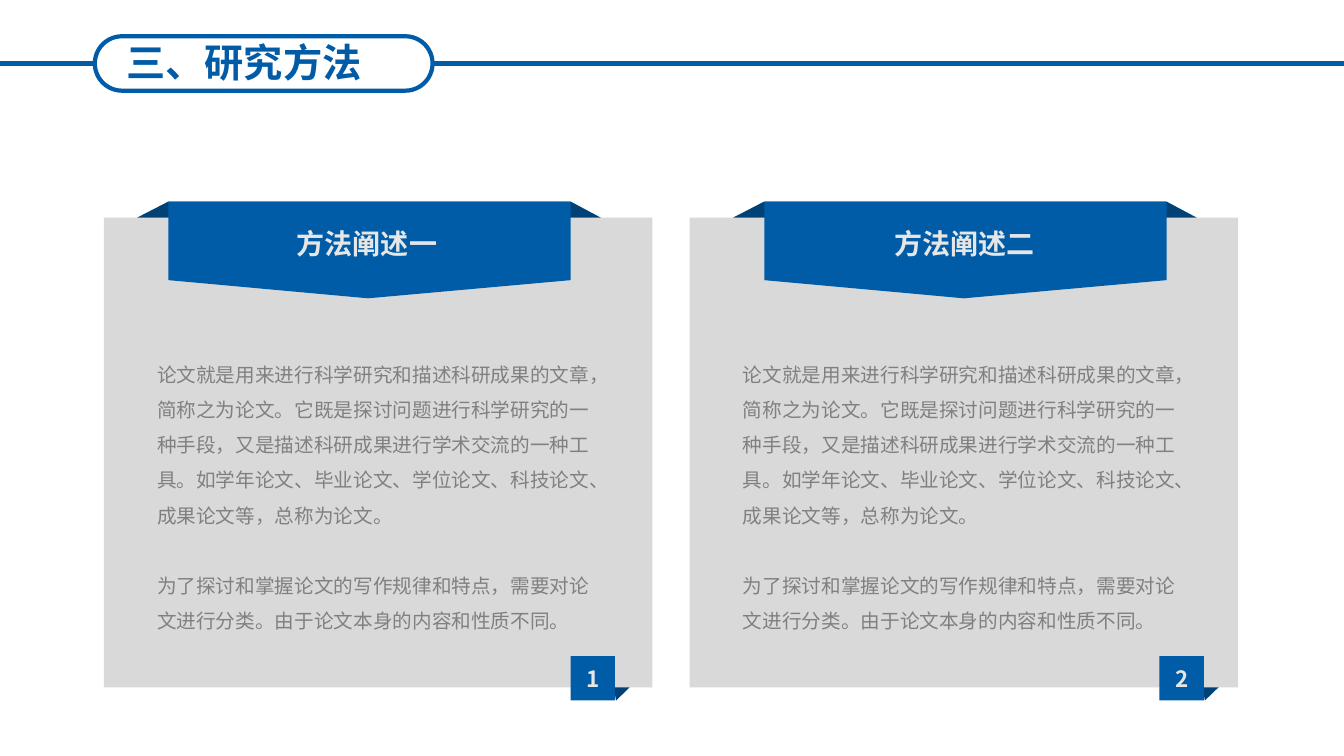
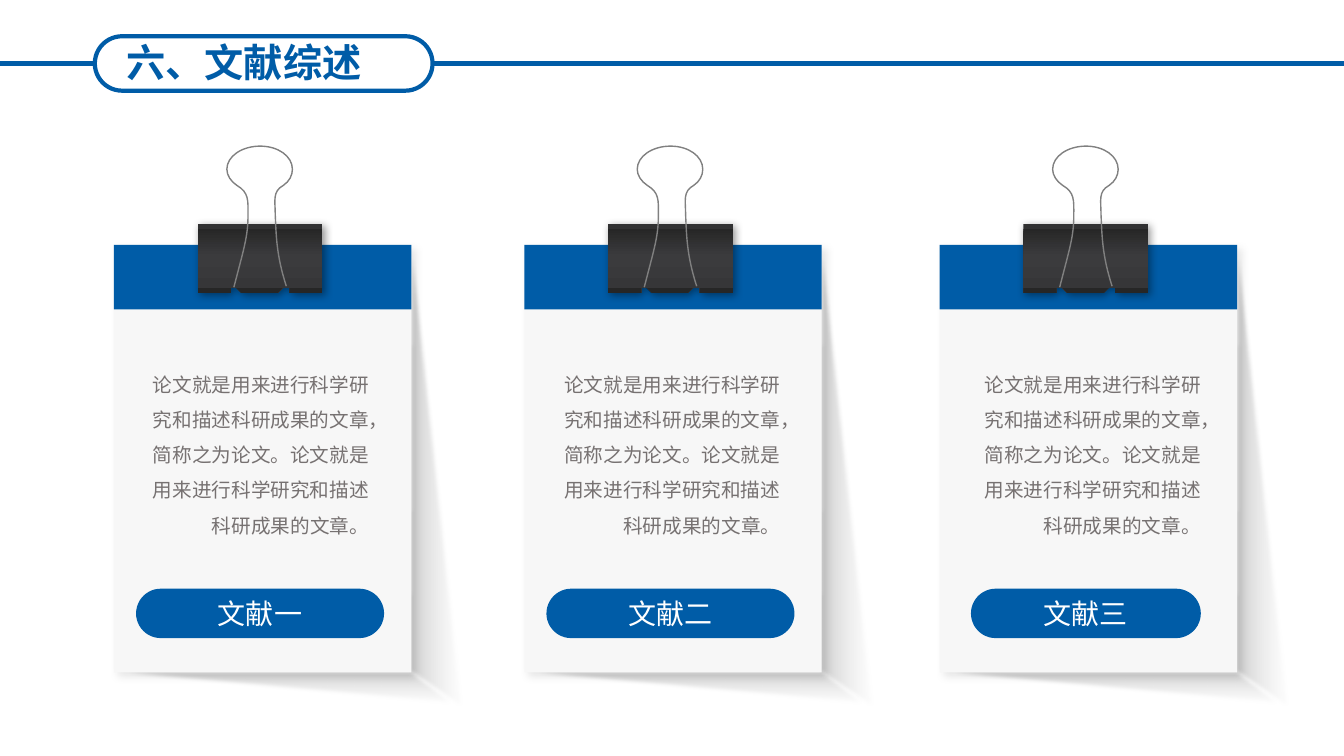
from dataclasses import dataclass

from lxml.etree import SubElement
from pptx import Presentation
from pptx.dml.color import RGBColor
from pptx.enum.shapes import MSO_CONNECTOR, MSO_SHAPE
from pptx.enum.text import MSO_ANCHOR, MSO_AUTO_SIZE, PP_ALIGN
from pptx.oxml import parse_xml
from pptx.oxml.ns import nsdecls, qn
from pptx.shapes.autoshape import Shape
from pptx.slide import Slide
from pptx.text.text import TextFrame
from pptx.util import Inches, Pt

FONT = "Noto Sans CJK SC"
BLUE, NAVY, GREY = "005CA7", "004176", "808080"
PANEL, PAPER, LIGHT, WHITE = "D9D9D9", "F7F7F7", "E7E6E6", "FFFFFF"
BODY_GREY = "767171"
SLIDE_WIDTH, SLIDE_HEIGHT = 13.33, 7.5
BODY_SIZE, BODY_SPACING = 14, 1.5
BLANK_LINE = 25.2

METHOD_TEXT = (
    "论文就是用来进行科学研究和描述科研成果的文章，简称之为论文。"
    "它既是探讨问题进行科学研究的一种手段，又是描述科研成果进行学术交流的一种工具。"
    "如学年论文、毕业论文、学位论文、科技论文、成果论文等，总称为论文。",
    "为了探讨和掌握论文的写作规律和特点，需要对论文进行分类。由于论文本身的内容和性质不同。",
)
REVIEW_TEXT = (
    "论文就是用来进行科学研究和描述科研成果的文章，简称之为论文。"
    "论文就是用来进行科学研究和描述科研成果的文章。",
)

Point = tuple[float, float]
Stop = tuple[int, str, int]  # position %, colour, opacity %

# Outlines are measured from the left edge of the part they belong to.
RIBBON_FOLDS: list[Point] = [(0, 2), (3.99, 2), (4.29, 2.16), (-0.31, 2.16)]
RIBBON: list[Point] = [(0, 2), (3.99, 2), (3.99, 2.78), (1.98, 2.96), (0, 2.78)]
BADGE_FOLD: list[Point] = [(0.76, 6.65), (0.45, 6.95), (0.39, 6.6)]
SIDE_SHADE: list[Point] = [(2.91, 6.68), (3.48, 7.07), (2.93, 1.94)]
BOTTOM_SHADE: list[Point] = [(2.98, 6.64), (3.47, 7.01), (-0.59, 6.64)]
CLIP: list[Point] = [
    (0.83, 2.22), (2.07, 2.22), (2.07, 2.91), (1.74, 2.91), (1.74, 2.85), (1.68, 2.85),
    (1.62, 2.91), (1.27, 2.91), (1.21, 2.85), (1.16, 2.85), (1.16, 2.91), (0.83, 2.91),
]
# The start, then two handles and an end for each curve.
WIRE: list[Point] = [
    (1.19, 2.85),
    (1.29, 2.46), (1.33, 2.35), (1.33, 2.13),
    (1.33, 1.99), (1.34, 1.91), (1.22, 1.84),
    (1.16, 1.8), (1.12, 1.74), (1.12, 1.68),
    (1.12, 1.55), (1.27, 1.45), (1.45, 1.45),
    (1.63, 1.45), (1.77, 1.55), (1.77, 1.68),
    (1.77, 1.74), (1.74, 1.8), (1.68, 1.84),
    (1.57, 1.9), (1.6, 1.99), (1.6, 2.13),
    (1.61, 2.34), (1.61, 2.53), (1.71, 2.84),
]
SHADE_STOPS: list[Stop] = [(0, GREY, 44), (100, "F3F3F3", 12)]
CLIP_STOPS: list[Stop] = [
    (7, "313132", 100), (7, "262626", 100), (46, "3B3B3D", 100),
    (93, "363638", 100), (93, "262626", 100),
]


@dataclass(frozen=True)
class TextStyle:
    size: float
    colour: str
    bold: bool = False
    align: PP_ALIGN = PP_ALIGN.CENTER
    spacing: float = 1.0
    gap: float = 0


@dataclass(frozen=True)
class MethodCard:
    heading: str
    number: str
    left: float
    ribbon_left: float
    heading_left: float
    badge_left: float


@dataclass(frozen=True)
class ReviewCard:
    label: str
    left: float
    label_left: float
    label_width: float
    body_left: float


TITLE_STYLE = TextStyle(28, BLUE, bold=True)
HEADING_STYLE = TextStyle(20, LIGHT, bold=True)
NUMBER_STYLE = TextStyle(16, LIGHT, bold=True)
LABEL_STYLE = TextStyle(20, WHITE)
METHOD_STYLE = TextStyle(BODY_SIZE, GREY, False, PP_ALIGN.LEFT, BODY_SPACING, BLANK_LINE)
REVIEW_STYLE = TextStyle(BODY_SIZE, BODY_GREY, False, PP_ALIGN.RIGHT, BODY_SPACING)

METHOD_CARDS = [
    MethodCard("方法阐述一", "1", 1.03, 1.67, 2.29, 5.66),
    MethodCard("方法阐述二", "2", 6.84, 7.58, 8.22, 11.5),
]
REVIEW_CARDS = [
    ReviewCard("文献一", 1.13, 1.35, 2.46, 1.4),
    ReviewCard("文献二", 5.2, 5.42, 2.46, 5.48),
    ReviewCard("文献三", 9.32, 9.63, 2.28, 9.65),
]


def rgb(value: str) -> RGBColor:
    return RGBColor.from_string(value)


def write(frame: TextFrame, texts: tuple[str, ...], style: TextStyle,
          anchor: MSO_ANCHOR = MSO_ANCHOR.MIDDLE) -> None:
    frame.word_wrap = True
    frame.auto_size = MSO_AUTO_SIZE.NONE
    frame.vertical_anchor = anchor
    for index, text in enumerate(texts):
        para = frame.add_paragraph() if index else frame.paragraphs[0]
        para.alignment = style.align
        para.line_spacing = style.spacing
        para.space_before = Pt(style.gap if index else 0)
        span = para.add_run()
        span.text = text
        span.font.size = Pt(style.size)
        span.font.bold = style.bold
        span.font.color.rgb = rgb(style.colour)
        span.font.name = FONT
        SubElement(span._r.get_or_add_rPr(), qn("a:ea")).set("typeface", FONT)


def add_text(page: Slide, left: float, top: float, width: float, height: float,
             texts: tuple[str, ...], style: TextStyle) -> None:
    box = page.shapes.add_textbox(Inches(left), Inches(top), Inches(width), Inches(height))
    write(box.text_frame, texts, style, MSO_ANCHOR.TOP)


def paint(shape: Shape, fill: str | None, line: str | None = None, weight: float = 1) -> None:
    shape.shadow.inherit = False
    if fill:
        shape.fill.solid()
        shape.fill.fore_color.rgb = rgb(fill)
    else:
        shape.fill.background()
    if line:
        shape.line.color.rgb = rgb(line)
        shape.line.width = Pt(weight)
    else:
        shape.line.fill.background()


def add_block(page: Slide, left: float, top: float, width: float, height: float,
              fill: str | None, rounded: bool = False) -> Shape:
    kind = MSO_SHAPE.ROUNDED_RECTANGLE if rounded else MSO_SHAPE.RECTANGLE
    block = page.shapes.add_shape(
        kind, Inches(left), Inches(top), Inches(width), Inches(height))
    if rounded:
        block.adjustments[0] = 0.5
    paint(block, fill)
    return block


def add_outline(page: Slide, left: float, points: list[Point], fill: str | None,
                closed: bool = True) -> Shape:
    corners = [(Inches(left + x), Inches(y)) for x, y in points]
    builder = page.shapes.build_freeform(*corners[0], scale=1.0)
    builder.add_line_segments(corners[1:], close=closed)
    outline = builder.convert_to_shape()
    paint(outline, fill)
    return outline


def bend(outline: Shape) -> None:
    """Join every three straight segments into one cubic Bézier curve."""
    segments = list(outline._element.iter(qn("a:lnTo")))
    for first in range(0, len(segments), 3):
        curve = segments[first]
        curve.tag = qn("a:cubicBezTo")
        for segment in segments[first + 1:first + 3]:
            curve.append(segment[0])
            segment.getparent().remove(segment)


def set_gradient(shape: Shape, stops: list[Stop], angle: int) -> None:
    """Fill along a clockwise angle in degrees, where 0 runs left to right."""
    shape.fill.background()
    marks = "".join(
        f'<a:gs pos="{position * 1000}"><a:srgbClr val="{colour}">'
        f'<a:alpha val="{opacity * 1000}"/></a:srgbClr></a:gs>'
        for position, colour, opacity in stops)
    gradient = parse_xml(
        f'<a:gradFill {nsdecls("a")} rotWithShape="1"><a:gsLst>{marks}</a:gsLst>'
        f'<a:lin ang="{angle * 60000}" scaled="0"/></a:gradFill>')
    properties = shape._element.spPr
    properties.replace(properties.find(qn("a:noFill")), gradient)


def add_effect(shape: Shape, markup: str) -> None:
    shape._element.spPr.find(qn("a:effectLst")).append(parse_xml(markup))


def set_shadow(shape: Shape, opacity: int, blur: float, distance: float) -> None:
    add_effect(shape, (
        f'<a:outerShdw {nsdecls("a")} blurRad="{Pt(blur)}" dist="{Pt(distance)}" '
        f'dir="2700000" algn="tl" rotWithShape="0"><a:srgbClr val="000000">'
        f'<a:alpha val="{opacity * 1000}"/></a:srgbClr></a:outerShdw>'))


def add_page(deck: Presentation, title: str) -> Slide:
    """Add a slide with the title capsule and the rules on both sides of it."""
    page = deck.slides.add_slide(deck.slide_layouts[5])
    heading = page.shapes.title
    heading.left, heading.top = Inches(0.73), Inches(0.33)
    heading.width, heading.height = Inches(3.38), Inches(0.57)
    write(heading.text_frame, (title,), TITLE_STYLE)
    capsule = add_block(page, 0.94, 0.36, 3.35, 0.54, None, rounded=True)
    paint(capsule, None, BLUE, 3)
    for edge, site in ((0, 1), (SLIDE_WIDTH, 3)):
        rule = page.shapes.add_connector(
            MSO_CONNECTOR.STRAIGHT, Inches(edge), Inches(0.63), Inches(edge), Inches(0.63))
        rule.end_connect(capsule, site)
        rule.line.color.rgb = rgb(BLUE)
        rule.line.width = Pt(3)
        SubElement(rule._element.spPr, qn("a:effectLst"))
    return page


def draw_method_card(page: Slide, card: MethodCard) -> None:
    add_outline(page, card.badge_left, BADGE_FOLD, NAVY)
    add_block(page, card.left, 2.16, 5.44, 4.66, PANEL)
    add_outline(page, card.ribbon_left, RIBBON_FOLDS, NAVY)
    add_outline(page, card.ribbon_left, RIBBON, BLUE)
    add_text(page, card.heading_left, 2.2, 2.7, 0.44, (card.heading,), HEADING_STYLE)
    add_text(page, card.left + 0.43, 3.43, 4.57, 2.93, METHOD_TEXT, METHOD_STYLE)
    badge = add_block(page, card.badge_left, 6.51, 0.44, 0.44, BLUE)
    write(badge.text_frame, (card.number,), NUMBER_STYLE)


def draw_review_card(page: Slide, card: ReviewCard) -> None:
    for points, angle in ((SIDE_SHADE, 0), (BOTTOM_SHADE, 90)):
        shade = add_outline(page, card.left, points, None)
        set_gradient(shade, SHADE_STOPS, angle)
        add_effect(shade, f'<a:softEdge {nsdecls("a")} rad="{Pt(2.5)}"/>')
    sheet = add_block(page, card.left, 2.43, 2.95, 4.24, PAPER)
    set_shadow(sheet, 10, 6, 4)
    add_block(page, card.left, 2.43, 2.95, 0.64, BLUE)
    clip = add_outline(page, card.left, CLIP, None)
    set_gradient(clip, CLIP_STOPS, 90)
    set_shadow(clip, 40, 6, 2)
    wire = add_outline(page, card.left, WIRE, None, closed=False)
    bend(wire)
    paint(wire, None, GREY, 1)
    label = add_block(page, card.label_left, 5.84, card.label_width, 0.49, BLUE, rounded=True)
    write(label.text_frame, (card.label,), LABEL_STYLE)
    add_text(page, card.body_left, 3.53, 2.36, 1.83, REVIEW_TEXT, REVIEW_STYLE)


def main() -> None:
    deck = Presentation()
    deck.slide_width, deck.slide_height = Inches(SLIDE_WIDTH), Inches(SLIDE_HEIGHT)
    methods = add_page(deck, "三、研究方法")
    for method in METHOD_CARDS:
        draw_method_card(methods, method)
    reviews = add_page(deck, "六、文献综述")
    for review in REVIEW_CARDS:
        draw_review_card(reviews, review)
    deck.save("out.pptx")


if __name__ == "__main__":
    main()
